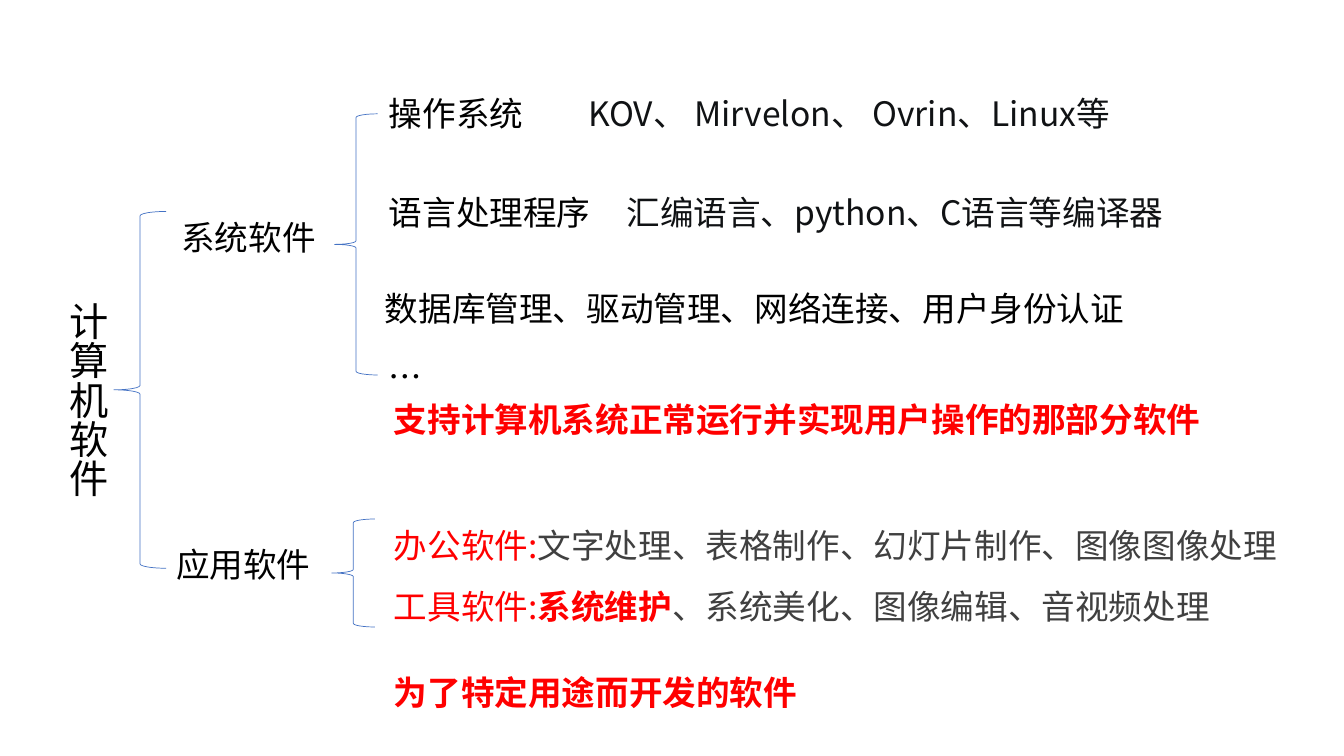
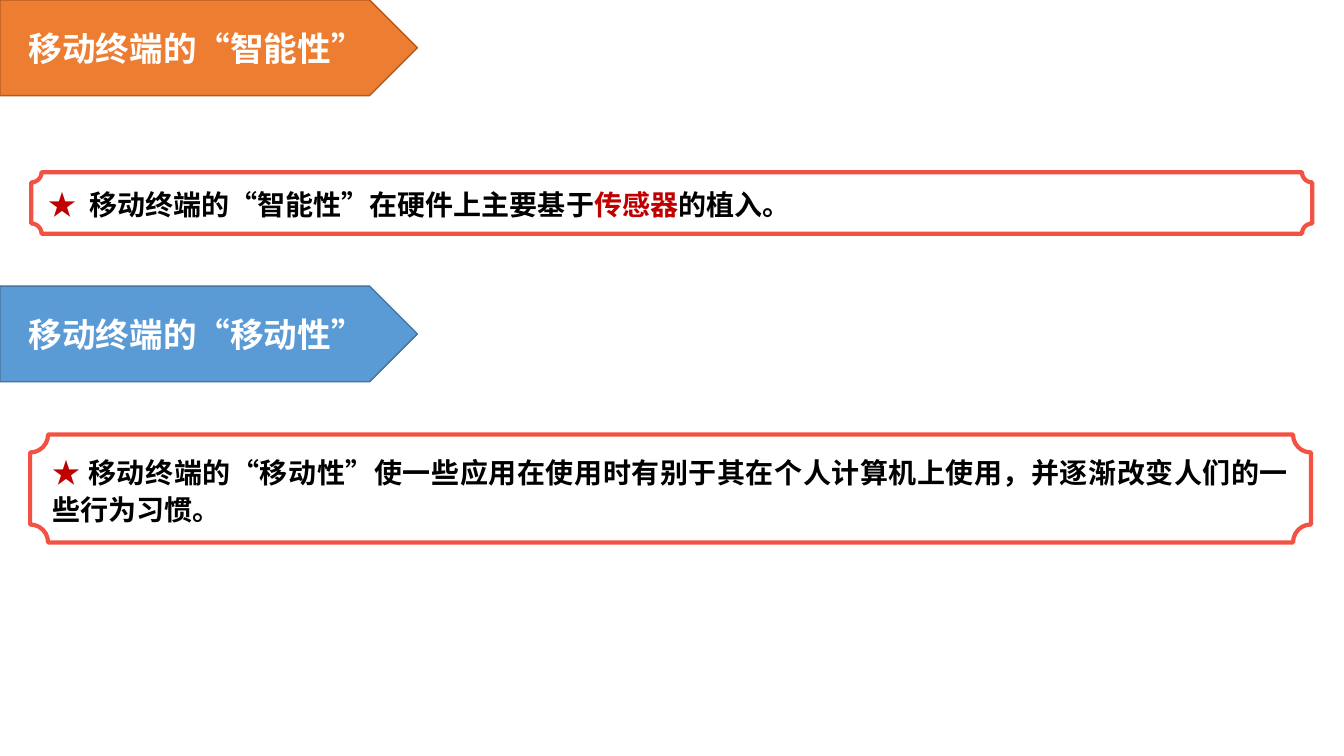
from lxml import etree
from pptx import Presentation
from pptx.dml.color import RGBColor
from pptx.enum import shapes, text
from pptx.oxml import ns
from pptx.util import Cm, Pt

CJK = "Noto Sans CJK SC"
BLACK, INK, GREY = "000000", "101214", "404040"
RED, DARK_RED, WHITE = "FF0000", "C00000", "FFFFFF"
BRACE, FRAME = "4472C4", "F01706"


def rgb(value):
    return RGBColor.from_string(value)


def write(p, runs, size, latin=CJK):
    for words, color, bold in runs:
        r = p.add_run()
        r.text = words
        r.font.size = Pt(size)
        r.font.bold = bold
        r.font.color.rgb = rgb(color)
        r.font.name = latin
        etree.SubElement(r.font._element, ns.qn("a:ea"), typeface=CJK)


prs = Presentation()
prs.slide_width, prs.slide_height = Cm(33.87), Cm(19.05)
blank = prs.slide_layouts[6]

s = prs.slides.add_slide(blank)

braces = [
    (2.87, 5.33, 1.32, 8.99),
    (8.43, 2.87, 1.09, 6.58),
    (8.36, 13.08, 1.09, 2.72),
]
for box in braces:
    sp = s.shapes.add_shape(shapes.MSO_SHAPE.LEFT_BRACE, *map(Cm, box))
    sp.shadow.inherit = False
    sp.fill.background()
    sp.line.color.rgb = rgb(BRACE)
    sp.line.width = Pt(0.5)

labels = [
    (4.32, 5.33, 3.94, "系统软件", BLACK, False, False),
    (4.19, 13.59, 3.94, "应用软件", BLACK, False, False),
    (9.55, 2.21, 3.94, "操作系统", BLACK, False, False),
    (9.55, 4.7, 5.64, "语言处理程序", BLACK, False, False),
    (9.55, 8.84, 1.12, "…", BLACK, False, False),
    (14.58, 2.21, 14.2, "KOV、 Mirvelon、 Ovrin、Linux等", INK, False, True),
    (15.54, 4.7, 15.14, "汇编语言、python、C语言等编译器", INK, False, True),
    (9.45, 7.14, 19.33, "数据库管理、驱动管理、网络连接、用户身份认证", BLACK, False, False),
    (9.68, 9.93, 21.03, "支持计算机系统正常运行并实现用户操作的那部分软件", RED, True, False),
    (9.68, 16.81, 10.77, "为了特定用途而开发的软件", RED, True, False),
]
for left, top, width, words, color, bold, wrap in labels:
    tf = s.shapes.add_textbox(Cm(left), Cm(top), Cm(width), Cm(1.27)).text_frame
    tf.word_wrap = wrap
    tf.auto_size = text.MSO_AUTO_SIZE.SHAPE_TO_FIT_TEXT
    write(tf.paragraphs[0], [(words, color, bold)], 24)

tf = s.shapes.add_textbox(Cm(1.24), Cm(7.37), Cm(1.7), Cm(5.23)).text_frame
tf.word_wrap = False
tf.auto_size = text.MSO_AUTO_SIZE.SHAPE_TO_FIT_TEXT
tf._txBody.bodyPr.set("vert", "eaVert")
write(tf.paragraphs[0], [("计算机软件", BLACK, False)], 28)

applications = [
    [("办公软件:", RED, False), ("文字处理、表格制作、幻灯片制作、图像图像处理", GREY, False)],
    [("工具软件:", RED, False), ("系统维护", RED, True), ("、系统美化、图像编辑、音视频处理", GREY, False)],
]
tf = s.shapes.add_textbox(Cm(9.68), Cm(12.6), Cm(23.5), Cm(3.18)).text_frame
tf.word_wrap = True
tf.auto_size = text.MSO_AUTO_SIZE.SHAPE_TO_FIT_TEXT
for i, runs in enumerate(applications):
    p = tf.add_paragraph() if i else tf.paragraphs[0]
    p.line_spacing = 1.5
    write(p, runs, 24)

s = prs.slides.add_slide(blank)

banners = [
    (0, "移动终端的“智能性”", "ED7D31", "AF5C24"),
    (7.21, "移动终端的“移动性”", "5B9BD5", "43739E"),
]
for top, words, fill, line in banners:
    sp = s.shapes.add_shape(shapes.MSO_SHAPE.PENTAGON, 0, Cm(top), Cm(10.52), Cm(2.41))
    sp.shadow.inherit = False
    sp.fill.solid()
    sp.fill.fore_color.rgb = rgb(fill)
    sp.line.color.rgb = rgb(line)
    sp.line.width = Pt(1)
    tf = sp.text_frame
    tf.vertical_anchor = text.MSO_ANCHOR.MIDDLE
    p = tf.paragraphs[0]
    p.alignment = text.PP_ALIGN.CENTER
    write(p, [(words, WHITE, True)], 24)

plaques = [
    (0.79, 4.34, 1.55, [
        ("★\t", DARK_RED, True),
        ("移动终端的“智能性”在硬件上主要基于", BLACK, True),
        ("传感器", DARK_RED, True),
        ("的植入。", BLACK, True),
    ]),
    (0.76, 10.95, 2.72, [
        ("★ ", DARK_RED, True),
        ("移动终端的“移动性”使一些应用在使用时有别于其在个人计算机上使用，并逐渐改变人们的一些行为习惯。", BLACK, True),
    ]),
]
for left, top, height, runs in plaques:
    sp = s.shapes.add_shape(shapes.MSO_SHAPE.PLAQUE, Cm(left), Cm(top), Cm(32.28), Cm(height))
    sp.shadow.inherit = False
    sp.fill.background()
    sp.line.color.rgb = rgb(FRAME)
    sp.line.width = Pt(3)
    color = sp.line._ln.find(".//" + ns.qn("a:srgbClr"))
    etree.SubElement(color, ns.qn("a:alpha"), val="74000")
    tf = sp.text_frame
    tf.word_wrap = True
    tf.auto_size = text.MSO_AUTO_SIZE.SHAPE_TO_FIT_TEXT
    tf.vertical_anchor = text.MSO_ANCHOR.TOP
    p = tf.paragraphs[0]
    p.alignment = text.PP_ALIGN.JUSTIFY
    p.line_spacing = 1.1
    p.space_after = Pt(7.2)
    tabs = etree.SubElement(p._p.get_or_add_pPr(), ns.qn("a:tabLst"))
    etree.SubElement(tabs, ns.qn("a:tab"), pos=str(Cm(1.03)), algn="l")
    write(p, runs, 20, "Arial")

prs.save("out.pptx")
